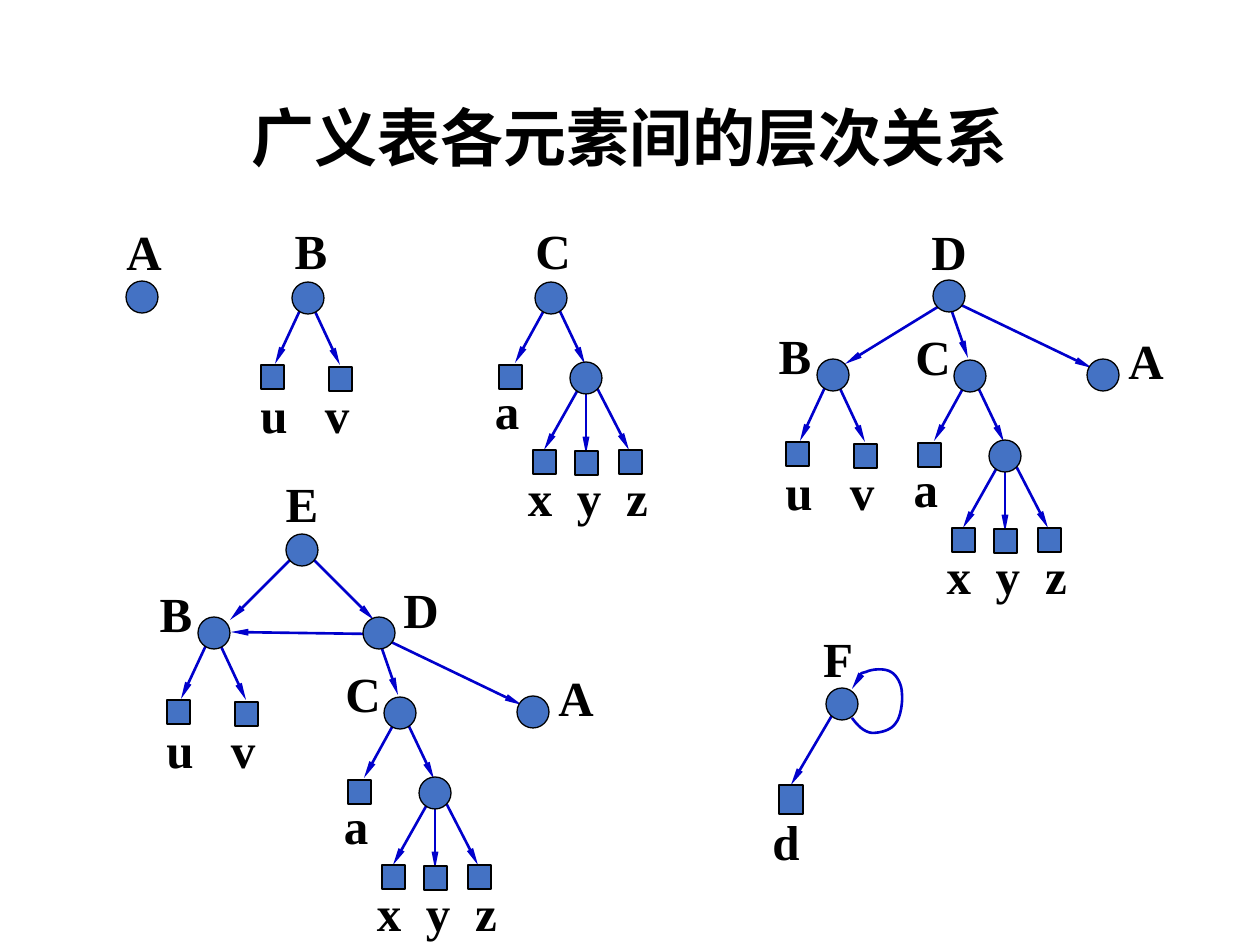
from dataclasses import dataclass

from lxml import etree
from pptx import Presentation, util as u
from pptx.dml.color import RGBColor
from pptx.enum import shapes, text
from pptx.oxml.ns import qn

PX = u.Inches(1) / 126


def emu(px):
    return u.Emu(round(px * PX))


def shift(origin, offset):
    return origin[0] + offset[0], origin[1] + offset[1]


@dataclass(frozen=True)
class Theme:
    fill: RGBColor = RGBColor(0x44, 0x72, 0xC4)
    outline: RGBColor = RGBColor(0, 0, 0)
    arrow: RGBColor = RGBColor(0, 0, 0xCC)
    ink: RGBColor = RGBColor(0, 0, 0)
    title_font: str = "Noto Sans CJK SC"
    label_font: str = "Times New Roman"
    title_size: u.Pt = u.Pt(36)
    label_size: u.Pt = u.Pt(28)
    outline_width: u.Pt = u.Pt(0.75)
    arrow_width: u.Pt = u.Pt(1.5)


class Diagram:
    def __init__(self, slide, theme):
        self.slide = slide
        self.theme = theme

    def words(self, content, left, top, width, height, font, size):
        box = self.slide.shapes.add_textbox(*map(emu, (left, top, width, height)))
        frame = box.text_frame
        frame.word_wrap = True
        frame.text = content
        para = frame.paragraphs[0]
        para.alignment = text.PP_ALIGN.CENTER
        span = para.runs[0]
        span.font.name, span.font.size, span.font.bold = font, size, True
        span.font.color.rgb = self.theme.ink
        return frame

    def title(self, content):
        theme = self.theme
        frame = self.words(content, 87, 50, 1086, 183, theme.title_font, theme.title_size)
        frame.vertical_anchor = text.MSO_ANCHOR.MIDDLE
        para = frame.paragraphs[0]
        para.line_spacing = 0.9
        properties = para.runs[0].font._element
        etree.SubElement(properties, qn("a:ea"), typeface=theme.title_font)

    def label(self, letter, top_center):
        x, y = top_center
        self.words(letter, x - 31, y, 62, 72, self.theme.label_font, self.theme.label_size)

    def solid(self, kind, left, top, width, height):
        shape = self.slide.shapes.add_shape(kind, *map(emu, (left, top, width, height)))
        shape.shadow.inherit = False
        shape.fill.solid()
        shape.fill.fore_color.rgb = self.theme.fill
        shape.line.color.rgb = self.theme.outline
        shape.line.width = self.theme.outline_width

    def node(self, center):
        x, y = center
        self.solid(shapes.MSO_SHAPE.OVAL, x - 16, y - 16, 32, 32)

    def leaf(self, corner, width=23, height=24):
        self.solid(shapes.MSO_SHAPE.RECTANGLE, *corner, width, height)

    def arrow_style(self, shape):
        shape.line.color.rgb = self.theme.arrow
        shape.line.width = self.theme.arrow_width
        line = shape.line._get_or_add_ln()
        etree.SubElement(line, qn("a:tailEnd"), type="triangle", w="sm", len="lg")

    def arrow(self, start, end):
        line = self.slide.shapes.add_connector(
            shapes.MSO_CONNECTOR.STRAIGHT, *map(emu, (*start, *end)))
        self.arrow_style(line)
        etree.SubElement(line._element.spPr, qn("a:effectLst"))

    def curved_arrow(self, start, controls):
        """Draw cubic curves; every three control points make one segment."""
        builder = self.slide.shapes.build_freeform(*start, scale=PX)
        builder.add_line_segments(controls, close=False)
        curve = builder.convert_to_shape()
        curve.shadow.inherit = False
        curve.fill.background()
        self.arrow_style(curve)
        outline = curve._element.find(".//" + qn("a:path"))
        segments = outline.findall(qn("a:lnTo"))
        for first in range(0, len(segments), 3):
            cubic = etree.SubElement(outline, qn("a:cubicBezTo"))
            for segment in segments[first:first + 3]:
                cubic.append(segment[0])
                outline.remove(segment)

    def branch(self, center, start, end, corner, letter, letter_at):
        """Draw an arrow to a lettered leaf, all as offsets from the parent."""
        self.arrow(shift(center, start), shift(center, end))
        self.leaf(shift(center, corner))
        self.label(letter, shift(center, letter_at))

    def list_a(self, center, name_at):
        self.node(center)
        self.label("A", shift(center, name_at))

    def list_b(self, center, name_at):
        self.branch(center, (-6, 8), (-33, 66), (-47, 67), "u", (-34, 80))
        self.branch(center, (4, 7), (32, 67), (21, 69), "v", (29, 80))
        self.node(center)
        self.label("B", shift(center, name_at))

    def list_c(self, center, name_at):
        inner = shift(center, (35, 80))
        self.branch(center, (-4, 7), (-36, 65), (-52, 67), "a", (-44, 76))
        self.arrow(shift(center, (6, 7)), shift(center, (34, 66)))
        self.branch(inner, (-6, 8), (-42, 72), (-53, 72), "x", (-46, 83))
        self.branch(inner, (0, 0), (0, 76), (-11, 73), "y", (3, 83))
        self.branch(inner, (9, 6), (43, 72), (33, 72), "z", (51, 83))
        self.node(inner)
        self.node(center)
        self.label("C", shift(center, name_at))

    def list_d(self, center, name_at, b_center, b_arrow):
        arrows = [b_arrow, ((1, 10), (19, 62)), ((10, 8), (143, 72))]
        for start, end in arrows:
            self.arrow(shift(center, start), shift(center, end))
        self.node(center)
        self.label("D", shift(center, name_at))
        self.list_b(b_center, (-38, -56))
        self.list_c(shift(center, (21, 80)), (-37, -56))
        self.list_a(shift(center, (154, 79)), (43, -51))

    def list_e(self, center):
        for side in (-1, 1):
            self.arrow(shift(center, (side * 9, 7)), shift(center, (side * 72, 70)))
        self.node(center)
        self.label("E", shift(center, (0, -83)))
        self.list_d(shift(center, (77, 83)), (42, -60),
                    shift(center, (-88, 83)), ((-7, 1), (-148, -1)))

    def list_f(self, center):
        self.arrow(shift(center, (-8, 8)), shift(center, (-51, 81)))
        self.node(center)
        self.label("F", shift(center, (-4, -82)))
        self.leaf(shift(center, (-63, 81)), 24, 29)
        self.label("d", shift(center, (-56, 101)))
        loop = [(16, 22), (22, 28), (30, 29), (37, 29), (49, 27), (54, 19),
                (59, 13), (61, -3), (60, -11), (60, -19), (55, -29), (49, -32),
                (43, -36), (30, -35), (24, -32), (16, -30), (12, -18), (10, -15)]
        self.curved_arrow(shift(center, (10, 14)), [shift(center, at) for at in loop])


def main():
    deck = Presentation()
    deck.slide_width, deck.slide_height = emu(1260), emu(945)
    page = Diagram(deck.slides.add_slide(deck.slide_layouts[6]), Theme())
    page.title("广义表各元素间的层次关系")
    page.list_a((142, 297), (2, -82))
    page.list_b((308, 298), (3, -84))
    page.list_c((551, 298), (2, -84))
    page.list_d((949, 296), (0, -81), (833, 375), ((-8, 9), (-104, 68)))
    page.list_e((302, 550))
    page.list_f((842, 704))
    deck.save("out.pptx")


if __name__ == "__main__":
    main()
